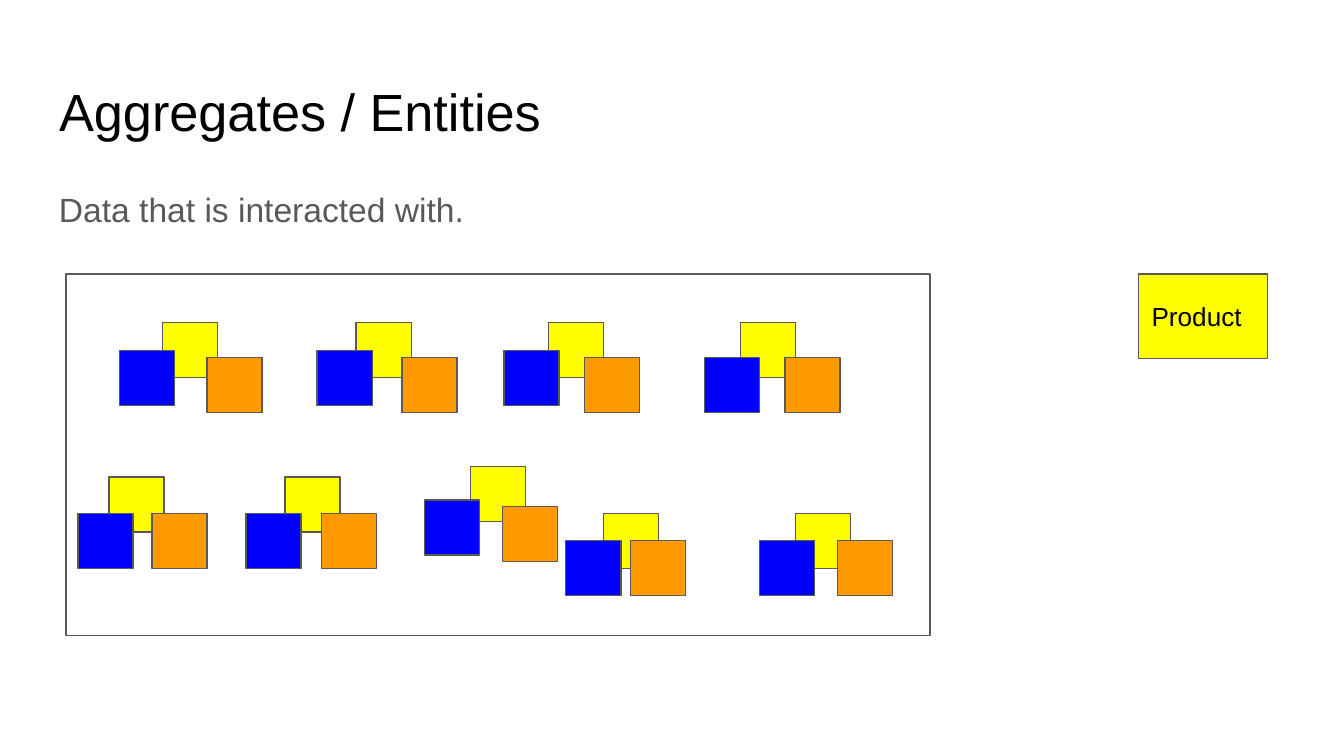
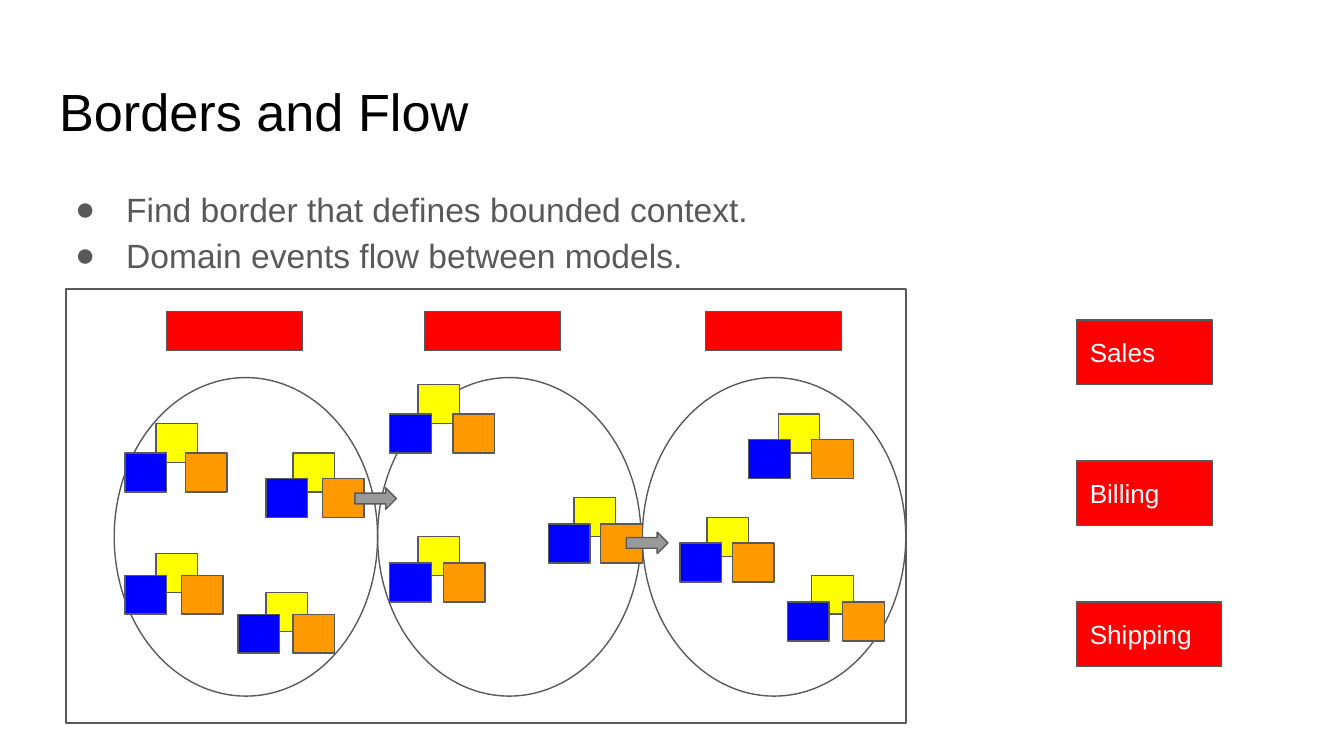
from lxml.etree import SubElement
from pptx import Presentation
from pptx.dml.color import RGBColor
from pptx.enum.shapes import MSO_SHAPE
from pptx.enum.text import MSO_ANCHOR, MSO_AUTO_SIZE, PP_ALIGN
from pptx.oxml.ns import qn
from pptx.util import Inches, Pt

FONT = "Arial"
BLACK, WHITE, GREY, ARROW_GREY = "000000", "FFFFFF", "595959", "999999"
YELLOW, BLUE, ORANGE, RED = "FFFF00", "0000FF", "FF9900", "FF0000"
CLUSTER_COLORS = (YELLOW, BLUE, ORANGE)


def add_text(box, lines, size, color, anchor=MSO_ANCHOR.TOP):
    """Fill a shape with left-aligned paragraphs and return them."""
    frame = box.text_frame
    frame.word_wrap = True
    frame.auto_size = MSO_AUTO_SIZE.NONE
    frame.vertical_anchor = anchor
    frame.margin_left = frame.margin_right = Inches(0.1)
    frame.margin_top = frame.margin_bottom = Inches(0.1)
    frame.text = "\n".join(lines)
    for para in frame.paragraphs:
        para.alignment = PP_ALIGN.LEFT
        para.font.name = FONT
        para.font.size = Pt(size)
        para.font.color.rgb = RGBColor.from_string(color)
    return frame.paragraphs


def add_figure(page, preset, left, top, width, height, fill=None):
    """Add a grey-outlined shape, hollow unless a fill is given."""
    shape = page.shapes.add_shape(
        preset, Inches(left), Inches(top), Inches(width), Inches(height))
    shape.shadow.inherit = False
    shape.line.color.rgb = RGBColor.from_string(GREY)
    shape.line.width = Pt(0.75)
    if fill:
        shape.fill.solid()
        shape.fill.fore_color.rgb = RGBColor.from_string(fill)
    else:
        shape.fill.background()
    return shape


deck = Presentation()
deck.slide_width = Inches(10)
deck.slide_height = Inches(10 * 9 / 16)

# Titles and body text
pages = []
for heading, lines in (
    ("Aggregates / Entities", ["Data that is interacted with."]),
    ("Borders and Flow", ["Find border that defines bounded context.",
                          "Domain events flow between models."]),
):
    page = deck.slides.add_slide(deck.slide_layouts[5])
    title = page.shapes.title
    title.left, title.top = Inches(0.34), Inches(0.49)
    title.width, title.height = Inches(9.32), Inches(0.63)
    add_text(title, [heading], 28, BLACK)

    body = page.shapes.add_textbox(
        Inches(0.34), Inches(1.26), Inches(9.32), Inches(3.74))
    for para in add_text(body, lines, 18, GREY):
        para.line_spacing = 1.15
        if len(lines) > 1:
            properties = para._p.get_or_add_pPr()
            properties.set("marL", str(Inches(0.5)))
            properties.set("indent", str(Inches(-0.38)))
            bullet_color = SubElement(properties, qn("a:buClr"))
            SubElement(bullet_color, qn("a:srgbClr"), val=GREY)
            SubElement(properties, qn("a:buFont"), typeface=FONT)
            SubElement(properties, qn("a:buChar"), char="●")
    pages.append(page)
entities_page, flow_page = pages

# Frames and context borders
add_figure(entities_page, MSO_SHAPE.RECTANGLE, 0.49, 2.04, 6.43, 2.69)
add_figure(flow_page, MSO_SHAPE.RECTANGLE, 0.49, 2.15, 6.25, 3.23)
for left in (0.85, 2.81, 4.78):
    add_figure(flow_page, MSO_SHAPE.OVAL, left, 2.81, 1.96, 2.37)

# Each cluster: corners of its yellow, blue and orange squares
entity_clusters = [
    ((1.21, 2.4), (0.89, 2.61), (1.54, 2.66)),
    ((2.65, 2.4), (2.36, 2.61), (2.99, 2.66)),
    ((4.08, 2.4), (3.75, 2.61), (4.35, 2.66)),
    ((5.51, 2.4), (5.24, 2.66), (5.84, 2.66)),
    ((0.81, 3.55), (0.58, 3.82), (1.13, 3.82)),
    ((2.12, 3.55), (1.83, 3.82), (2.39, 3.82)),
    ((3.5, 3.47), (3.16, 3.72), (3.74, 3.77)),
    ((4.49, 3.82), (4.21, 4.02), (4.69, 4.02)),
    ((5.92, 3.82), (5.65, 4.02), (6.23, 4.02)),
]
flow_clusters = [
    ((1.16, 3.15), (0.93, 3.37), (1.38, 3.37)),
    ((2.18, 3.37), (1.98, 3.56), (2.4, 3.56)),
    ((1.16, 4.12), (0.93, 4.28), (1.35, 4.28)),
    ((1.98, 4.41), (1.77, 4.57), (2.18, 4.57)),
    ((3.11, 2.86), (2.9, 3.08), (3.37, 3.08)),
    ((4.27, 3.7), (4.08, 3.9), (4.47, 3.9)),
    ((3.11, 3.99), (2.9, 4.19), (3.3, 4.19)),
    ((5.79, 3.08), (5.57, 3.27), (6.04, 3.27)),
    ((5.26, 3.85), (5.06, 4.04), (5.45, 4.04)),
    ((6.04, 4.28), (5.86, 4.48), (6.27, 4.48)),
]
for page, clusters, width, height in (
    (entities_page, entity_clusters, 0.41, 0.41),
    (flow_page, flow_clusters, 0.31, 0.29),
):
    for color, corners in zip(CLUSTER_COLORS, zip(*clusters)):
        for left, top in corners:
            add_figure(page, MSO_SHAPE.RECTANGLE, left, top, width, height, color)

# Context headers
for left in (1.24, 3.16, 5.25):
    add_figure(flow_page, MSO_SHAPE.RECTANGLE, left, 2.32, 1.01, 0.29, RED)

# Labels at the right
for page, name, left, top, width, height, fill, color in (
    (entities_page, "Product", 8.47, 2.04, 0.96, 0.63, YELLOW, BLACK),
    (flow_page, "Sales", 8.01, 2.38, 1.01, 0.48, RED, WHITE),
    (flow_page, "Billing", 8.01, 3.43, 1.01, 0.48, RED, WHITE),
    (flow_page, "Shipping", 8.01, 4.48, 1.08, 0.48, RED, WHITE),
):
    label = add_figure(page, MSO_SHAPE.RECTANGLE, left, top, width, height, fill)
    add_text(label, [name], 14, color, MSO_ANCHOR.MIDDLE)

# Events crossing the borders
for left, top in ((2.64, 3.63), (4.66, 3.96)):
    add_figure(flow_page, MSO_SHAPE.RIGHT_ARROW, left, top, 0.31, 0.16, ARROW_GREY)

deck.save("out.pptx")
